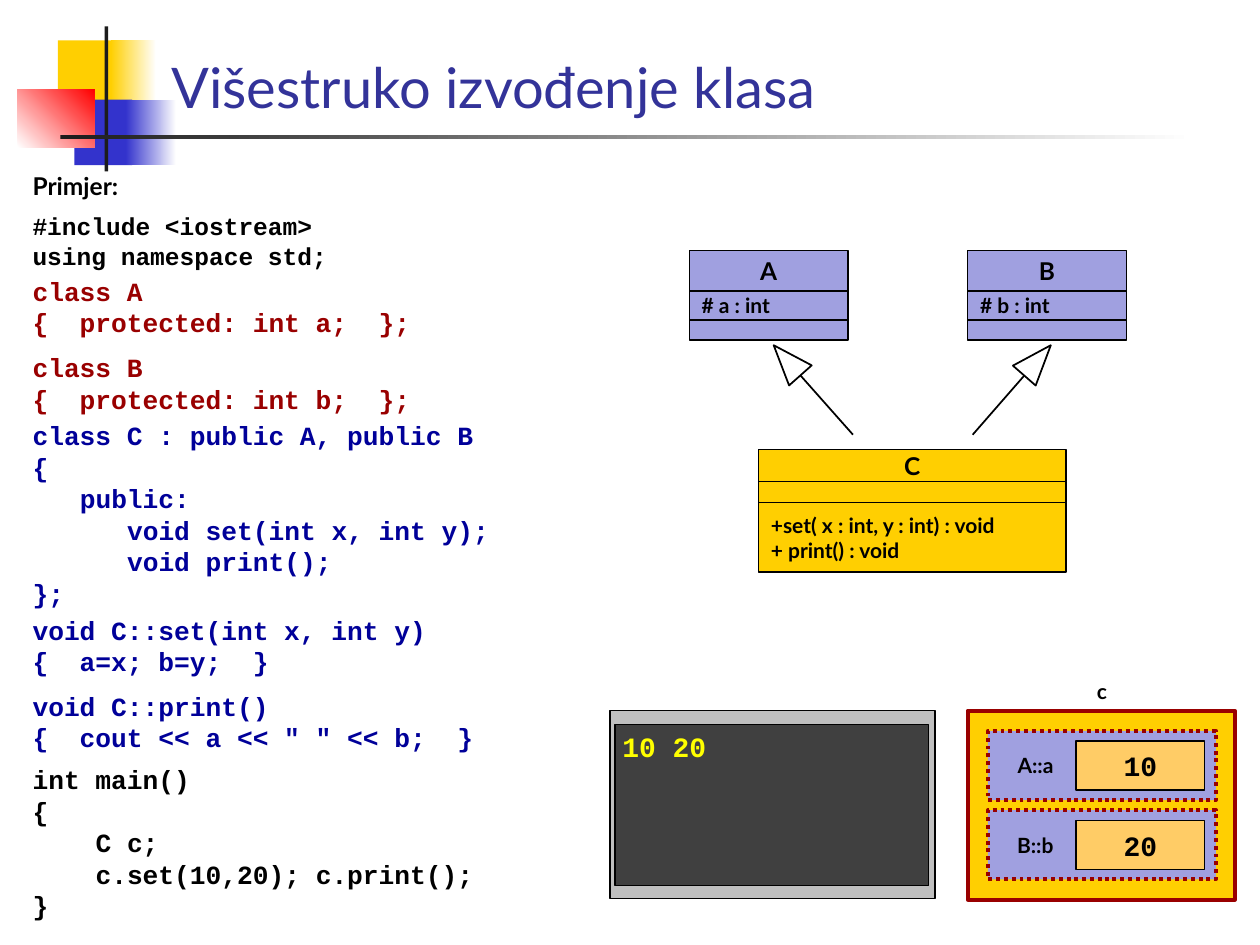
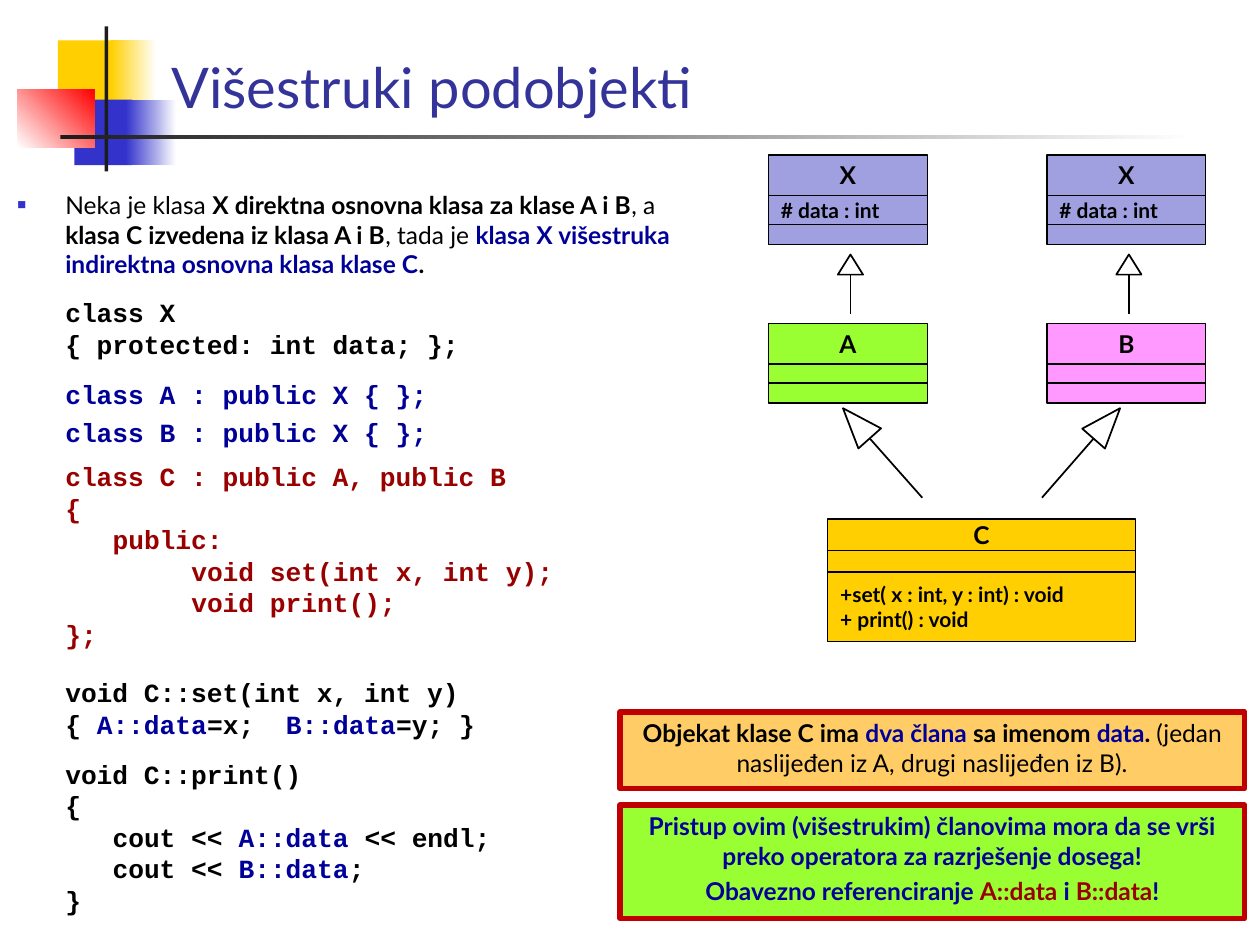
import math
from dataclasses import dataclass

from lxml import etree
from pptx import Presentation
from pptx import util as u
from pptx.dml.color import RGBColor
from pptx.enum import dml, shapes, text
from pptx.oxml.ns import qn

EMU_PER_PX = 9144  # 100 px to the inch
SANS, MONO = "Lato", "Courier New"
COLORS = {
    "black": "000000", "ink": "1C1C1C", "white": "FFFFFF", "title": "333399",
    "gold": "FFCF01", "blue": "3333CC", "red": "FF0000", "maroon": "990000",
    "navy": "000099", "lilac": "A0A0E0", "peach": "FFCC66", "green": "99FF33",
    "pink": "FF99FF", "frame": "C00000", "silver": "BFBFBF", "screen": "404040",
    "yellow": "FFFF00",
}
LEFT, CENTER, RIGHT = text.PP_ALIGN.LEFT, text.PP_ALIGN.CENTER, text.PP_ALIGN.RIGHT
TOP, MIDDLE = text.MSO_ANCHOR.TOP, text.MSO_ANCHOR.MIDDLE
RECTANGLE = shapes.MSO_SHAPE.RECTANGLE
TEXT_INDENT = 38


@dataclass
class Line:
    """One paragraph; runs is a string or a list of (text, color, bold)."""
    runs: object
    color: str = "black"
    size: int = 15
    font: str = MONO
    bold: bool = True
    before: float = 0
    align: int = LEFT
    indent: int = 0
    bullet: bool = False


def px(value):
    return u.Emu(round(value * EMU_PER_PX))


def box(*numbers):
    return [px(number) for number in numbers]


def rgb(name):
    return RGBColor.from_string(COLORS[name])


# --- Text ---

def add_bullet(properties):
    color = etree.SubElement(properties, qn("a:buClr"))
    etree.SubElement(color, qn("a:srgbClr"), val=COLORS["blue"])
    etree.SubElement(properties, qn("a:buSzPct"), val="60000")
    etree.SubElement(properties, qn("a:buFont"), typeface="Arial")
    etree.SubElement(properties, qn("a:buChar"), char="■")


def write_line(paragraph, line):
    properties = paragraph._p.get_or_add_pPr()
    properties.set("marL", str(px(line.indent)))
    properties.set("indent", str(px(-line.indent if line.bullet else 0)))
    if line.bullet:
        add_bullet(properties)
    paragraph.alignment = line.align
    paragraph.space_before = u.Pt(line.before)
    paragraph.line_spacing = u.Pt(line.size * 1.2)
    font = paragraph.font
    font.name, font.size = line.font, u.Pt(line.size)
    if isinstance(line.runs, str):
        font.bold, font.color.rgb = line.bold, rgb(line.color)
        paragraph.add_run().text = line.runs
        return
    for words, color, bold in line.runs:
        run = paragraph.add_run()
        run.text = words
        run.font.bold, run.font.color.rgb = bold, rgb(color)


def write(shape, lines, anchor=TOP, padding=5):
    frame = shape.text_frame
    frame.word_wrap = True
    frame.vertical_anchor = anchor
    frame.margin_left = frame.margin_right = px(10)
    frame.margin_top = frame.margin_bottom = px(padding)
    for number, line in enumerate(lines):
        write_line(frame.add_paragraph() if number else frame.paragraphs[0], line)


def code(before, color, *rows, size=15, margin=0):
    """Code lines; leading spaces become a left margin of that many characters."""
    lines = []
    for row in rows:
        runs = row
        if isinstance(row, str):
            runs = row.lstrip()
            spaces = len(row) - len(runs)
        else:
            first, *rest = row
            spaces = len(first[0]) - len(first[0].lstrip())
            runs = [(first[0].lstrip(), *first[1:]), *rest]
        indent = margin + spaces * 0.6 * size / 0.72
        lines.append(Line(runs, color, size, indent=indent, before=0 if lines else before))
    return lines


def label(words, align=CENTER, size=12):
    return Line(words, size=size, font=SANS, align=align)


def add_text(slide, place, lines, anchor=TOP, padding=5):
    shape = slide.shapes.add_textbox(*box(*place))
    write(shape, lines, anchor, padding)
    return shape


# --- Shapes ---

def add_rectangle(slide, place, fill, line=None, width=0.75):
    shape = slide.shapes.add_shape(RECTANGLE, *box(*place))
    shape.shadow.inherit = False
    shape.fill.solid()
    shape.fill.fore_color.rgb = rgb(fill)
    if line:
        shape.line.color.rgb = rgb(line)
        shape.line.width = u.Pt(width)
    else:
        shape.line.fill.background()
    return shape


def add_gradient(slide, place, start, end, angle=0):
    fill = add_rectangle(slide, place, start).fill
    fill.gradient()
    fill.gradient_angle = angle
    for stop, color in zip(fill.gradient_stops, (start, end)):
        stop.color.rgb = rgb(color)


def add_class(slide, left, top, width, fill, rows):
    """Class diagram box: stacked rows of (height, lines)."""
    for height, lines in rows:
        shape = add_rectangle(slide, (left, top, width, height), fill, "black")
        if lines:
            write(shape, lines, MIDDLE, padding=0)
        top += height


def add_base_class(slide, left, top, name, fill, member=None):
    attributes = (23, [label(member, LEFT)]) if member else (15, [])
    add_class(slide, left, top, 126, fill,
              [(32, [label(name, size=14)]), attributes, (16, [])])


def add_class_c(slide, left, top):
    methods = ["+set( x : int, y : int) : void", "+ print() : void"]
    add_class(slide, left, top, 244, "gold",
              [(25, [label("C", size=14)]), (17, []),
               (55, [label(method, LEFT) for method in methods])])


def add_inheritance(slide, tip, tail, width, length):
    """Line from tail to a hollow triangle whose point is at tip."""
    angle = math.atan2(tail[0] - tip[0], tail[1] - tip[1])
    along = math.sin(angle), math.cos(angle)
    base = [point + length * step for point, step in zip(tip, along)]
    middle = [(point + end) / 2 for point, end in zip(tip, base)]
    head = slide.shapes.add_shape(
        shapes.MSO_SHAPE.ISOSCELES_TRIANGLE,
        *box(middle[0] - width / 2, middle[1] - length / 2, width, length))
    head.rotation = -math.degrees(angle)
    head.shadow.inherit = False
    head.fill.background()
    stem = slide.shapes.add_connector(shapes.MSO_CONNECTOR.STRAIGHT, *box(*base, *tail))
    etree.SubElement(stem._element.spPr, qn("a:effectLst"))
    for shape in (head, stem):
        shape.line.color.rgb = rgb("black")
        shape.line.width = u.Pt(1)


def add_inheritance_pair(slide, left, top):
    for tip, tail in ((0, 63), (220, 158)):
        add_inheritance(slide, (left + tip, top), (left + tail, top + 71), 24, 32)


def add_titled_slide(presentation, words):
    slide = presentation.slides.add_slide(presentation.slide_layouts[5])
    # Corner squares, bar and rule
    add_rectangle(slide, (46, 32, 48, 52), "gold")
    add_gradient(slide, (88, 32, 36, 52), "gold", "white")
    add_rectangle(slide, (59, 79, 46, 52), "blue")
    add_gradient(slide, (100, 79, 40, 52), "blue", "white")
    add_gradient(slide, (14, 71, 61, 46), "white", "red", angle=45)
    add_rectangle(slide, (83, 21, 3, 115), "ink")
    add_gradient(slide, (48, 107, 900, 3), "ink", "white")
    # Title, in front of the squares
    title = slide.shapes.title
    slide.shapes.element.append(title.element)
    title.left, title.top, title.width, title.height = box(126, 13, 874, 87)
    title.text_frame.text = words
    title.text_frame.vertical_anchor = text.MSO_ANCHOR.BOTTOM
    paragraph = title.text_frame.paragraphs[0]
    paragraph.alignment = LEFT
    paragraph.font.name, paragraph.font.size = SANS, u.Pt(32)
    paragraph.font.color.rgb = rgb("title")
    return slide


# --- Slides ---

def build_derivation(presentation):
    slide = add_titled_slide(presentation, "Višestruko izvođenje klasa")
    add_text(slide, (16, 131, 445, 580), [
        label("Primjer:", LEFT, 14),
        *code(6, "black", "#include <iostream>", "using namespace std;", size=14),
        *code(3, "maroon", "class A", "{  protected: int a;  };"),
        *code(7.5, "maroon", "class B", "{  protected: int b;  };"),
        *code(3, "navy", "class C : public A, public B", "{", "   public:",
              "      void set(int x, int y);", "      void print();", "};"),
        *code(3, "navy", "void C::set(int x, int y)", "{  a=x; b=y;  }"),
        *code(7.5, "navy", "void C::print()", '{  cout << a << " " << b;  }'),
        *code(6, "black", "int main()", "{", "    C c;",
              "    c.set(10,20); c.print();", "}"),
    ])

    # Class diagram
    add_inheritance_pair(slide, 614, 274)
    add_base_class(slide, 547, 199, "A", "lilac", "# a : int")
    add_base_class(slide, 768, 199, "B", "lilac", "# b : int")
    add_class_c(slide, 602, 357)

    # Object c with its two subobjects
    add_text(slide, (855, 533, 39, 31), [label("c")], MIDDLE)
    add_rectangle(slide, (768, 564, 212, 150), "gold", "maroon", 2.25)
    for row, (member, value) in enumerate((("A::a", "10"), ("B::b", "20"))):
        top = 580 + 63 * row
        subobject = add_rectangle(slide, (784, top, 181, 55), "lilac", "maroon", 2.25)
        subobject.line.dash_style = dml.MSO_LINE.ROUND_DOT
        add_text(slide, (791, top + 16, 55, 23), [label(member, RIGHT)], MIDDLE, padding=0)
        cell = add_rectangle(slide, (854, top + 8, 102, 39), "peach", "black")
        write(cell, [Line(value, size=16, align=CENTER)], MIDDLE)

    # Console output
    add_rectangle(slide, (484, 564, 258, 149), "silver", "black", 0)
    add_rectangle(slide, (488, 575, 249, 128), "screen", "black", 0)
    output = add_text(slide, (494, 574, 219, 37), [Line("10 20", "yellow", 16)])
    output.text_frame.margin_left = output.text_frame.margin_right = 0


def build_subobjects(presentation):
    slide = add_titled_slide(presentation, "Višestruki podobjekti")
    statement = [
        ("Neka je klasa ", "black", False),
        ("X direktna osnovna klasa za klase A i B", "black", True),
        (", a ", "black", False),
        ("klasa C izvedena iz klasa A i B", "black", True),
        (", tada je ", "black", False),
        ("klasa X višestruka indirektna osnovna klasa klase C", "navy", True),
        (".", "black", True),
    ]
    a_data, b_data = ("A::data", "navy", True), ("B::data", "navy", True)
    add_text(slide, (4, 146, 567, 363), [
        Line(statement, size=14, font=SANS, indent=TEXT_INDENT, bullet=True),
        *code(10.5, "black", "class X", "{ protected: int data; };", margin=TEXT_INDENT),
        *code(10.5, "navy", "class A : public X { };", margin=TEXT_INDENT),
        *code(3.75, "navy", "class B : public X { };", margin=TEXT_INDENT),
        *code(7.5, "maroon", "class C : public A, public B", "{", "   public:",
              "        void set(int x, int y);", "        void print();", "};",
              margin=TEXT_INDENT),
    ])
    add_text(slide, (4, 532, 433, 205), [
        *code(0, "black", "void C::set(int x, int y)",
              [("{ ", "black", True), a_data, ("=x;  ", "black", True), b_data,
               ("=y; }", "black", True)], margin=TEXT_INDENT),
        *code(10.5, "black", "void C::print()", "{",
              [("   cout << ", "black", True), a_data, (" << endl;", "black", True)],
              [("   cout << ", "black", True), b_data, (";", "black", True)],
              "}", margin=TEXT_INDENT),
    ])

    # Class diagram
    for left, name, fill in ((610, "A", "green"), (831, "B", "pink")):
        add_base_class(slide, left, 123, "X", "lilac", "# data : int")
        add_base_class(slide, left, 257, name, fill)
        add_inheritance(slide, (left + 65, 202), (left + 65, 249), 20, 16)
    add_inheritance_pair(slide, 669, 324)
    add_class_c(slide, 657, 412)

    # Conclusions
    members = [
        ("Objekat klase C ima ", "black", True), ("dva člana ", "navy", True),
        ("sa imenom ", "black", True), ("data", "navy", True), (". ", "black", True),
        ("(jedan naslijeđen iz A, drugi naslijeđen iz B).", "black", False),
    ]
    access = ("Pristup ovim (višestrukim) članovima mora da se vrši "
              "preko operatora za razrješenje dosega!")
    reference = [
        ("Obavezno referenciranje ", "navy", True), ("A::data", "maroon", True),
        (" i ", "navy", True), ("B::data", "maroon", True), ("!", "navy", True),
    ]
    for top, height, fill, sentences in ((565, 61, "peach", [members]),
                                         (639, 90, "green", [access, reference])):
        callout = add_rectangle(slide, (492, top, 496, height), fill, "frame", 3)
        write(callout, [Line(runs, "navy", 14, SANS, align=CENTER, before=3.5 * number)
                        for number, runs in enumerate(sentences)])


def main():
    presentation = Presentation()
    presentation.slide_width, presentation.slide_height = box(1000, 750)
    build_derivation(presentation)
    build_subobjects(presentation)
    presentation.save("out.pptx")


if __name__ == "__main__":
    main()
